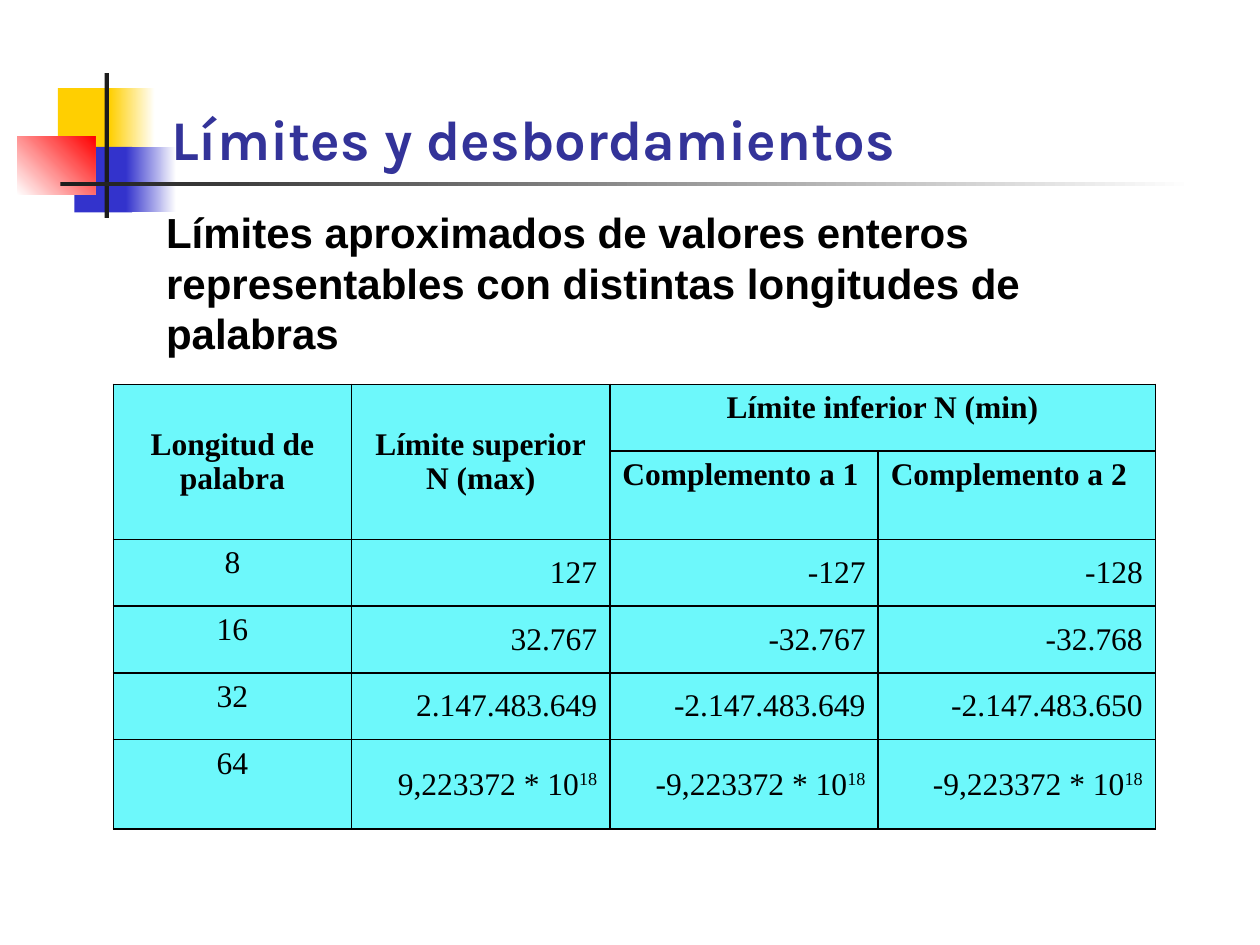
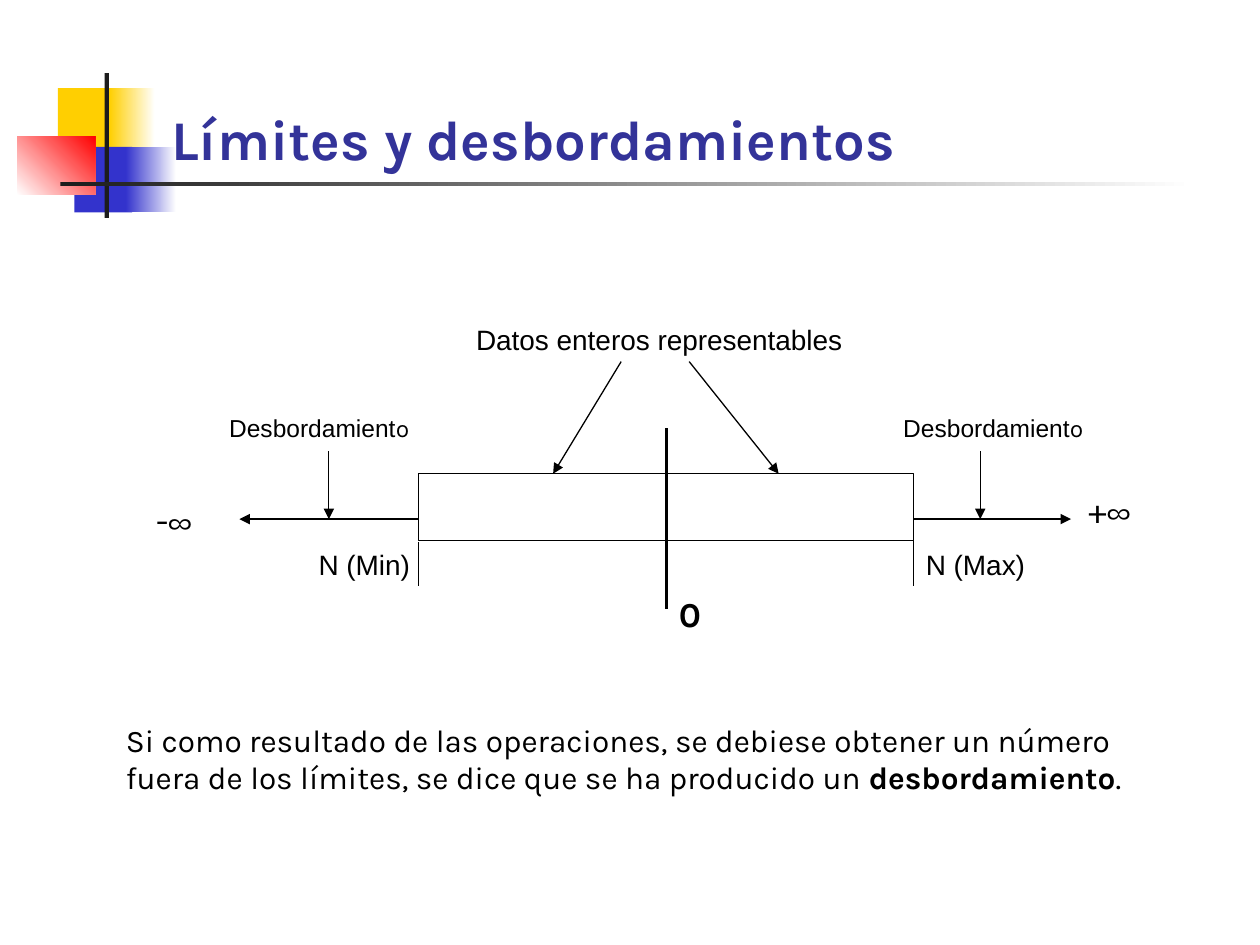
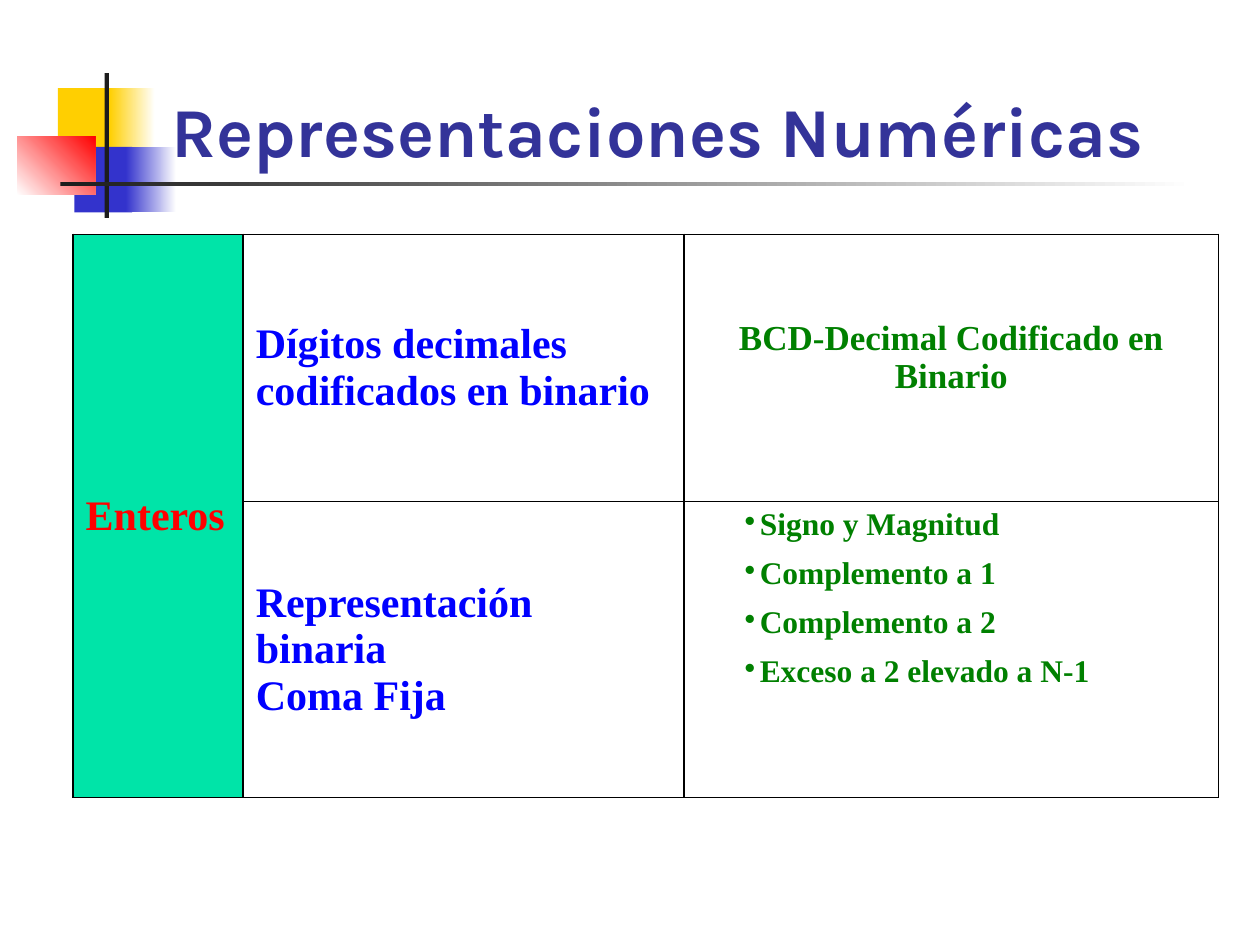
from dataclasses import dataclass

from lxml.etree import SubElement
from pptx import Presentation
from pptx.dml.color import RGBColor
from pptx.enum.shapes import MSO_CONNECTOR, MSO_SHAPE
from pptx.enum.text import MSO_ANCHOR, PP_ALIGN
from pptx.oxml.ns import qn
from pptx.util import Inches, Pt

COLUMNS, ROWS = 100, 75  # grid that covers the slide


@dataclass(frozen=True)
class Theme:
    # colours
    ink: str = "000000"
    paper: str = "FFFFFF"
    title: str = "333399"
    bar: str = "1C1C1C"
    yellow: str = "FFCF01"
    blue: str = "3333CC"
    red: str = "FF0000"
    cyan: str = "6DF8FB"
    mint: str = "00E4A8"
    link_blue: str = "0000FF"
    green: str = "008000"
    # fonts
    display: str = "Karla"
    plain: str = "Arial"
    serif: str = "Times New Roman"
    # type sizes
    huge: int = 40
    large: int = 32
    heading: int = 24
    medium: int = 20
    body: int = 18
    label: int = 16
    small: int = 14


THEME = Theme()
ALIGN = {"l": PP_ALIGN.LEFT, "c": PP_ALIGN.CENTER, "r": PP_ALIGN.RIGHT, "j": PP_ALIGN.JUSTIFY}
ANCHOR = {"t": MSO_ANCHOR.TOP, "m": MSO_ANCHOR.MIDDLE, "b": MSO_ANCHOR.BOTTOM}


def rgb(colour):
    return RGBColor.from_string(colour)


def add_bullet(para, colour):
    properties = para._p.get_or_add_pPr()
    properties.set("marL", str(Inches(0.5)))
    properties.set("indent", str(-Inches(0.12)))
    bullet_colour = SubElement(properties, qn("a:buClr"))
    SubElement(bullet_colour, qn("a:srgbClr"), val=colour)
    SubElement(properties, qn("a:buChar"), char="•")


def write(frame, text, font=THEME.plain, size=THEME.body, colour=THEME.ink, bold=False,
          align="l", anchor="t", gap=0, bullets=False):
    """Write paragraphs; a paragraph is a string or a list of (string, changes) spans."""
    frame.word_wrap = True
    frame.vertical_anchor = ANCHOR[anchor]
    paragraphs = [text] if isinstance(text, str) else text
    for index, content in enumerate(paragraphs):
        para = frame.add_paragraph() if index else frame.paragraphs[0]
        para.alignment = ALIGN[align]
        if index and gap:
            para.space_before = Pt(gap)
        if bullets:
            add_bullet(para, colour)
        for words, changes in [(content, {})] if isinstance(content, str) else content:
            span = para.add_run()
            span.text = words
            span.font.name = changes.get("font", font)
            span.font.size = Pt(size)
            span.font.bold = changes.get("bold", bold)
            span.font.color.rgb = rgb(colour)
            if changes.get("raised"):
                span._r.get_or_add_rPr().set("baseline", "30000")


class Deck:
    def __init__(self, theme):
        self.theme = theme
        self.show = Presentation()
        self.show.slide_width, self.show.slide_height = Inches(10), Inches(7.5)
        self.page = None

    def across(self, columns):
        return round(self.show.slide_width * columns / COLUMNS)

    def down(self, rows):
        return round(self.show.slide_height * rows / ROWS)

    def place(self, left, top, width, height):
        return self.across(left), self.down(top), self.across(width), self.down(height)

    def add_page(self, title, size):
        self.page = self.show.slides.add_slide(self.show.slide_layouts[6])
        self.decorate()
        self.text((12.6, 2.3, 85.2, 11.8), title, font=self.theme.display, size=size,
                  colour=self.theme.title, bold=True, anchor="b")

    def decorate(self):
        """Coloured squares and the two bars beside the title."""
        theme = self.theme
        self.box((4.6, 7, 4.8, 5.2), theme.yellow)
        self.box((8.7, 7, 3.6, 5.2), (theme.yellow, theme.paper))
        self.box((5.9, 11.65, 4.6, 5.2), theme.blue)
        self.box((10, 11.65, 4, 5.2), (theme.blue, theme.paper))
        self.box((1.35, 10.8, 6.2, 4.65), (theme.paper, theme.red), angle=45)
        self.box((8.3, 5.8, 0.35, 11.5), theme.bar)
        self.box((4.8, 14.45, 90, 0.35), (theme.bar, theme.paper))

    def box(self, area, fill, angle=0, line=None, text=None, **style):
        """Rectangle; a pair of colours as fill makes a gradient."""
        box = self.page.shapes.add_shape(MSO_SHAPE.RECTANGLE, *self.place(*area))
        box.shadow.inherit = False
        if isinstance(fill, tuple):
            box.fill.gradient()
            box.fill.gradient_angle = angle
            for stop, colour in zip(box.fill.gradient_stops, fill):
                stop.color.rgb = rgb(colour)
        else:
            box.fill.solid()
            box.fill.fore_color.rgb = rgb(fill)
        if line:
            box.line.color.rgb = rgb(self.theme.ink)
            box.line.width = Pt(line)
        else:
            box.line.fill.background()
        if text:
            write(box.text_frame, text, **style)

    def text(self, area, text, **style):
        box = self.page.shapes.add_textbox(*self.place(*area))
        write(box.text_frame, text, **style)

    def line(self, start, end, width=0.75, arrow=False):
        line = self.page.shapes.add_connector(
            MSO_CONNECTOR.STRAIGHT, self.across(start[0]), self.down(start[1]),
            self.across(end[0]), self.down(end[1]))
        line.line.color.rgb = rgb(self.theme.ink)
        line.line.width = Pt(width)
        if arrow:
            SubElement(line.line._get_or_add_ln(), qn("a:tailEnd"), type="triangle")
        SubElement(line._element.spPr, qn("a:effectLst"))

    def table(self, left, top, widths, heights, merges):
        area = self.place(left, top, sum(widths), sum(heights))
        table = self.page.shapes.add_table(len(heights), len(widths), *area).table
        table.first_row = table.horz_banding = False
        for column, width in zip(table.columns, widths):
            column.width = self.across(width)
        for row, height in zip(table.rows, heights):
            row.height = self.down(height)
        for cell in table.iter_cells():
            self.frame_cell(cell)
        for first, last in merges:
            table.cell(*first).merge(table.cell(*last))
        return table

    def frame_cell(self, cell):
        properties = cell._tc.get_or_add_tcPr()
        for side in ("lnL", "lnR", "lnT", "lnB"):
            border = SubElement(properties, qn(f"a:{side}"), w=str(Pt(1)))
            fill = SubElement(border, qn("a:solidFill"))
            SubElement(fill, qn("a:srgbClr"), val=self.theme.ink)
        cell.fill.solid()
        cell.fill.fore_color.rgb = rgb(self.theme.paper)

    def cell(self, cell, text, fill, anchor="t", **style):
        cell.fill.fore_color.rgb = rgb(fill)
        write(cell.text_frame, text, font=self.theme.serif, **style)
        cell.vertical_anchor = ANCHOR[anchor]


def add_limits(deck):
    theme = deck.theme
    deck.add_page("Límites y desbordamientos", theme.large)
    deck.text((12.2, 15.9, 82.7, 13),
              "Límites aproximados de valores enteros representables con distintas "
              "longitudes de palabras", size=theme.heading, bold=True, anchor="m")
    table = deck.table(9, 30.5, (18.9, 20.5, 21.3, 22), (5.3, 7, 5.3, 5.3, 5.3, 7.1),
                       [((0, 0), (1, 0)), ((0, 1), (1, 1)), ((0, 2), (0, 3))])
    # Header cells
    headers = [(0, 0, "Longitud de palabra", "c", "m"),
               (0, 1, ["Límite superior", "N (max)"], "c", "m"),
               (0, 2, "Límite inferior N (min)", "c", "t"),
               (1, 2, "Complemento a 1", "j", "t"),
               (1, 3, "Complemento a 2", "j", "t")]
    for row, column, text, align, anchor in headers:
        deck.cell(table.cell(row, column), text, theme.cyan, anchor, align=align, bold=True)
    # Word length and its limits
    power = ("18", {"raised": True})
    lowest = [[("-9,223372 * 10", {}), power]]
    limits = [("8", "127", "-127", "-128"),
              ("16", "32.767", "-32.767", "-32.768"),
              ("32", "2.147.483.649", "-2.147.483.649", "-2.147.483.650"),
              ("64", [[("9,223372 * 10", {}), power]], lowest, lowest)]
    for row, values in enumerate(limits, start=2):
        for column, value in enumerate(values):
            align, anchor = ("r", "m") if column else ("c", "t")
            deck.cell(table.cell(row, column), value, theme.cyan, anchor, align=align)


def add_overflow(deck):
    theme = deck.theme
    deck.add_page("Límites y desbordamientos", theme.large)
    low, zero, high = 33.2, 52.9, 72.5
    top, axis = 37.6, 41.2
    # Labels around the range
    for left in (70.7, 17.2):
        deck.box((left, 32.3, 17.8, 5.4), theme.paper, size=theme.small,
                 text=[[("Desbordamient", {}), ("o", {"font": theme.display})]])
    deck.box((high, 43, 14.3, 5.3), theme.paper, text="N (Max)", size=theme.label)
    deck.box((24.3, 43, 10.7, 3.6), theme.paper, text="N (Min)", size=theme.label)
    # Range with its limits and zero
    deck.box((low, top, high - low, 5.3), theme.paper, line=0.75)
    deck.line((zero, 34), (zero, 48.3), width=2.25)
    deck.text((zero, 46.5, 3.6, 3.6), "0", font=theme.display, size=theme.medium, bold=True)
    deck.line((high, top), (high, 46.5))
    deck.line((low, 43), (low, 46.5))
    # Arrows to both infinities and to the overflow zones
    deck.line((high, axis), (85, axis), arrow=True)
    deck.line((low, axis), (19, axis), arrow=True)
    for column in (26.1, 77.8):
        deck.line((column, 35.8), (column, axis), arrow=True)
    # Representable data
    deck.box((36.8, 25.1, 32.1, 3.6), theme.paper, text="Datos enteros representables",
             size=theme.label)
    for start, end in ((54.7, 61.8), (49.3, 43.9)):
        deck.line((start, 28.7), (end, top), arrow=True)
    for left, row, sign in ((85.4, 38.3, "+∞"), (11.4, 39.1, "-∞")):
        deck.text((left, row, 7.9, 4.3), sign, font=theme.display, size=theme.medium)
    # Conclusion
    deck.text((9, 56.7, 83.5, 7),
              [[("Si como resultado de las operaciones, se debiese obtener un número fuera "
                 "de los límites, se dice que se ha producido un ", {}),
                ("desbordamiento", {"bold": True}), (".", {})]],
              font=theme.display, anchor="m")


def add_representations(deck):
    theme = deck.theme
    deck.add_page("Representaciones Numéricas", theme.huge)
    table = deck.table(5.8, 18.6, (13.5, 35, 42.4), (21.2, 23.5), [((0, 0), (1, 0))])
    # Number kind and its two families
    families = [(0, 0, "Enteros", theme.mint, theme.red),
                (0, 1, "Dígitos decimales codificados en binario", theme.paper,
                 theme.link_blue),
                (1, 1, ["Representación binaria", "Coma Fija"], theme.paper,
                 theme.link_blue)]
    for row, column, text, fill, colour in families:
        deck.cell(table.cell(row, column), text, fill, "m", size=theme.heading,
                  colour=colour, bold=True)
    # Codes of each family
    decimal = table.cell(0, 2)
    decimal.margin_top = deck.down(6.7)
    deck.cell(decimal, "BCD-Decimal Codificado en Binario", theme.paper, size=theme.medium,
              colour=theme.green, bold=True, align="c")
    deck.cell(table.cell(1, 2),
              ["Signo y Magnitud", "Complemento a 1", "Complemento a 2",
               "Exceso a 2 elevado a N-1"],
              theme.paper, colour=theme.green, bold=True, gap=8, bullets=True)


def main():
    deck = Deck(THEME)
    add_limits(deck)
    add_overflow(deck)
    add_representations(deck)
    deck.show.save("out.pptx")


if __name__ == "__main__":
    main()
